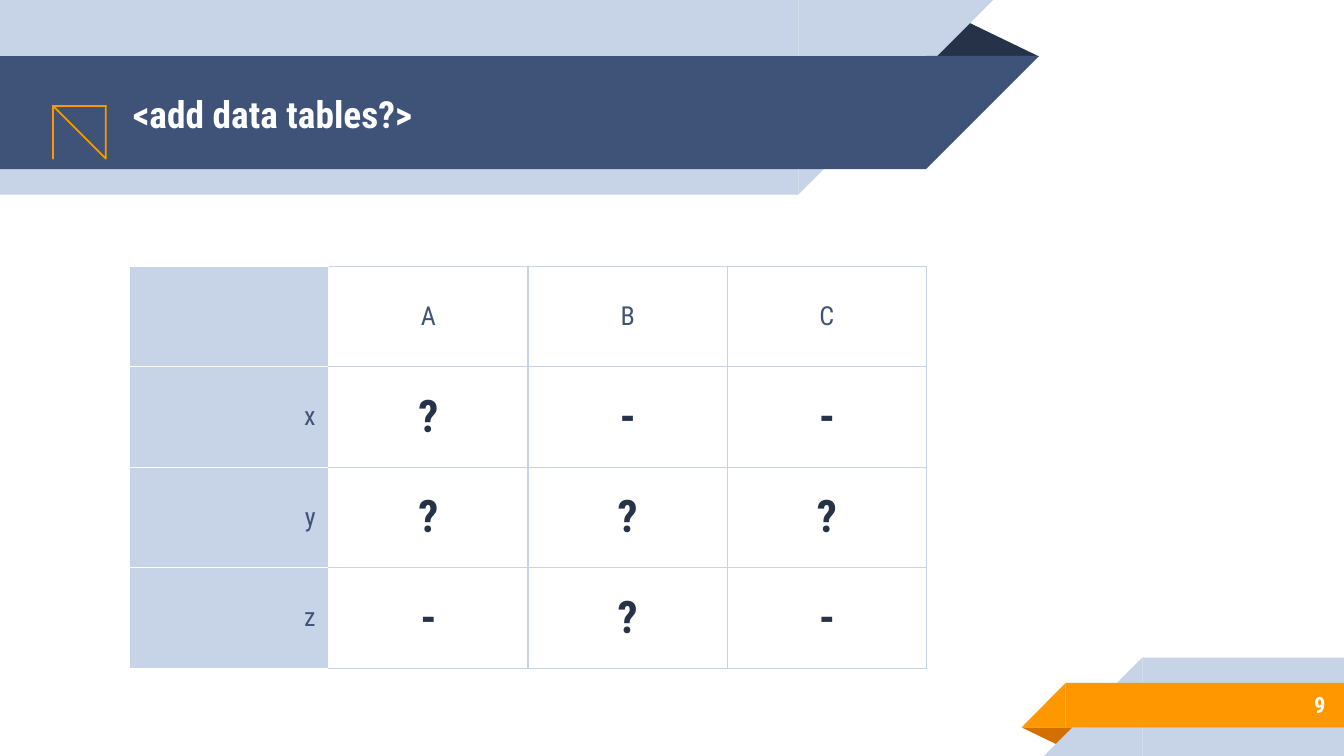
from lxml.etree import SubElement as Sub
from pptx import Presentation
from pptx.dml.color import RGBColor as Rgb
from pptx.enum.shapes import MSO_SHAPE as Kind
from pptx.enum.text import MSO_ANCHOR as Anchor, MSO_AUTO_SIZE as Auto, PP_ALIGN as Align
from pptx.oxml.ns import qn
from pptx.util import Cm, Pt

HUES = {"pale": "C7D3E6", "blue": "3F5378", "navy": "263248",
        "gold": "FF9800", "rust": "D26F00", "white": "FFFFFF"}
FONT = "Roboto Condensed"


def write(frame, text, size, hue, bold, align):
    frame.text = text
    para = frame.paragraphs[0]
    para.alignment = align
    font = para.runs[0].font
    for key, val in {"name": FONT, "size": Pt(size), "bold": bold}.items():
        setattr(font, key, val)
    font.color.rgb = Rgb.from_string(HUES[hue])


def edge(cell, side, hue):
    line = Sub(cell._tc.get_or_add_tcPr(), qn("a:ln" + side), w=str(Pt(0.75)))
    fill = Sub(line, qn("a:solidFill"))
    Sub(fill, qn("a:srgbClr"), val=HUES[hue])


deck = Presentation()
deck.slide_width, deck.slide_height = Cm(25.4), Cm(14.29)
slide = deck.slides.add_slide(deck.slide_layouts[5])
shapes = slide.shapes

# Ribbons at the top left and the bottom right
BAR, SLANT, FOLD = Kind.RECTANGLE, Kind.RIGHT_TRIANGLE, Kind.ISOSCELES_TRIANGLE
parts = [
    (FOLD, 17.48, 0.36, 2.16, 0.71, "navy", None),
    (BAR, 0, 0, 15.09, 3.68, "pale", None),
    (SLANT, 15.09, 0, 3.68, 3.68, "pale", "flipV"),
    (BAR, 0, 1.06, 17.5, 2.14, "blue", None),
    (SLANT, 17.5, 1.06, 2.14, 2.14, "blue", "flipV"),
    (FOLD, 19.31, 13.75, 1.09, 0.36, "rust", "rot"),
    (BAR, 21.59, 12.43, 3.81, 1.86, "pale", None),
    (SLANT, 19.73, 12.43, 1.86, 1.86, "pale", "flipH"),
    (BAR, 20.14, 12.91, 5.26, 0.84, "gold", None),
    (SLANT, 19.31, 12.91, 0.83, 0.84, "gold", "flipH"),
]
for kind, x, y, w, h, hue, turn in parts:
    part = shapes.add_shape(kind, Cm(x), Cm(y), Cm(w), Cm(h))
    part.shadow.inherit = False
    part.fill.solid()
    part.fill.fore_color.rgb = Rgb.from_string(HUES[hue])
    part.line.fill.background()
    if kind == FOLD:
        part.adjustments[0] = 0.32
    if turn == "rot":
        part.rotation = 180
    elif turn:
        part._element.spPr.get_or_add_xfrm().set(turn, "1")

# Title and page number
title = shapes.title
shapes._spTree.append(title._element)
page = shapes.add_textbox(0, 0, 0, 0)
for box, spot, text, size, align in [
    (title, (2.26, 1.08, 14.6, 2.14), "<add data tables?>", 20, Align.LEFT),
    (page, (21.16, 12.88, 4.14, 0.89), "9", 12, Align.RIGHT),
]:
    box.left, box.top, box.width, box.height = map(Cm, spot)
    frame = box.text_frame
    form = {"word_wrap": True, "auto_size": Auto.NONE, "vertical_anchor": Anchor.MIDDLE}
    for side in ("left", "top", "right", "bottom"):
        form["margin_" + side] = Cm(0.25)
    for key, val in form.items():
        setattr(frame, key, val)
    write(frame, text, size, "white", True, align)

# Data table
rows = [["", "A", "B", "C"],
        ["x", "?", "-", "-"],
        ["y", "?", "?", "?"],
        ["z", "-", "?", "-"]]
table = shapes.add_table(4, 4, Cm(2.45), Cm(5.03), Cm(15.06), Cm(7.6)).table
table.first_row = table.horz_banding = False
for col in table.columns:
    col.width = Cm(3.765)
for r, row in enumerate(rows):
    table.rows[r].height = Cm(1.9)
    for c, text in enumerate(row):
        cell = table.cell(r, c)
        for key, val in {"margin_left": Cm(0.25), "margin_right": Cm(0.25),
                         "margin_top": Cm(0.18), "margin_bottom": Cm(0.18),
                         "vertical_anchor": Anchor.MIDDLE}.items():
            setattr(cell, key, val)
        for side in "LRTB":
            plain = c == 0 or (c == 1 and side == "L")
            edge(cell, side, "white" if plain else "pale")
        if c == 0:
            cell.fill.solid()
            cell.fill.fore_color.rgb = Rgb.from_string(HUES["pale"])
        else:
            cell.fill.background()
        if text:
            label = r == 0 or c == 0
            write(cell.text_frame, text, 14 if label else 24, "blue" if label else "navy",
                  not label, Align.CENTER if c else Align.RIGHT)

# Chart board icon, as outlines of points in centimetres
icon = [
    ([(0.89, 1.81), (1.71, 1.81), (1.74, 1.84), (1.74, 2.34), (1.71, 2.37),
      (0.89, 2.37), (0.86, 2.34), (0.86, 1.84)], True),
    ([(1.27, 1.81), (1.27, 1.78), (1.3, 1.76), (1.32, 1.78), (1.32, 1.81)], False),
    ([(1.07, 2.38), (0.99, 2.51), (1, 2.54), (1.03, 2.54), (1.12, 2.38)], False),
    ([(1.47, 2.38), (1.56, 2.54), (1.59, 2.54), (1.6, 2.51), (1.52, 2.38)], False),
    ([(0.91, 1.86), (1.69, 1.86), (1.69, 2.32), (0.91, 2.32)], True),
    ([(1.04, 2.22), (1.17, 2.08), (1.28, 2.19), (1.32, 2.19), (1.52, 1.98)], False),
    ([(1.4, 1.97), (1.52, 1.97), (1.54, 1.99), (1.54, 2.11)], False),
]
for dots, shut in icon:
    pen = shapes.build_freeform(*dots[0], scale=Cm(1))
    pen.add_line_segments(dots[1:], close=shut)
    mark = pen.convert_to_shape()
    mark.shadow.inherit = False
    mark.fill.background()
    mark.line.width = Pt(0.96)
    mark.line.color.rgb = Rgb.from_string(HUES["gold"])

deck.save("out.pptx")
